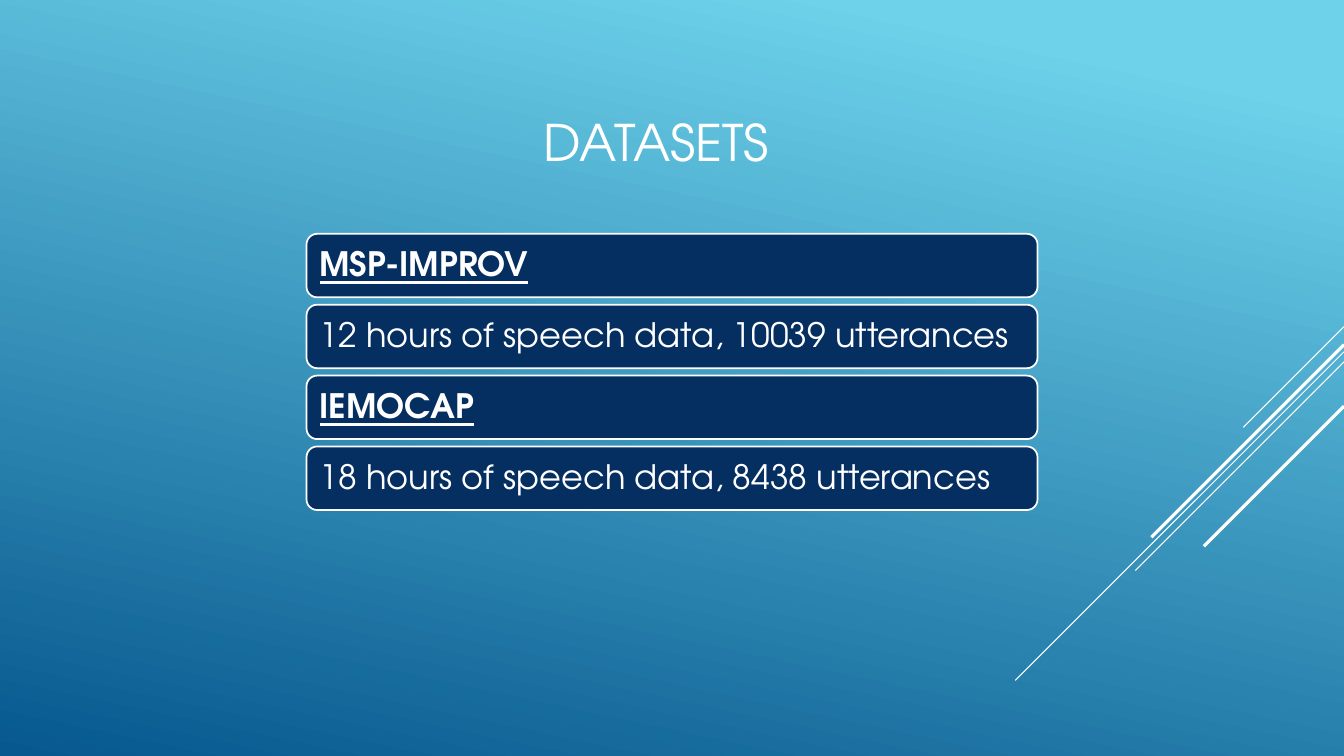
"""Build the slide that lists the speech datasets."""
from dataclasses import dataclass

from lxml.etree import SubElement
from pptx import Presentation
from pptx.dml.color import RGBColor
from pptx.enum.shapes import MSO_CONNECTOR as Connector
from pptx.enum.shapes import MSO_SHAPE as Shape
from pptx.enum.text import MSO_ANCHOR as Anchor
from pptx.enum.text import MSO_AUTO_SIZE as AutoSize
from pptx.enum.text import PP_ALIGN as Align
from pptx.oxml.ns import qn
from pptx.slide import Slide
from pptx.util import Inches, Pt

FONT = "TeX Gyre Adventor"
WHITE, NAVY = "FFFFFF", "052F61"
SLIDE_WIDTH, SLIDE_HEIGHT = 13.33, 7.5
BAR_LEFT, BAR_WIDTH, BAR_HEIGHT = 3.04, 7.25, 0.63
FIRST_BAR_TOP, LAST_BAR_TOP = 2.32, 4.43


@dataclass
class Bar:
    text: str
    heading: bool = False


@dataclass
class Streak:
    top: float
    reach: float
    weight: float


BARS = [
    Bar("MSP-IMPROV", heading=True),
    Bar("12 hours of speech data, 10039 utterances"),
    Bar("IEMOCAP", heading=True),
    Bar("18 hours of speech data, 8438 utterances"),
]
STREAKS = [
    Streak(3.24, 1.0, 0.75),
    Streak(3.49, 3.26, 0.75),
    Streak(3.59, 2.07, 0.75),
    Streak(3.42, 1.91, 2.25),
    Streak(4.03, 1.39, 2.25),
]


def color(value: str) -> RGBColor:
    return RGBColor.from_string(value)


def add_run(paragraph, text: str, size: float, heading: bool = False) -> None:
    run = paragraph.add_run()
    run.text = text
    run.font.name = FONT
    run.font.size = Pt(size)
    run.font.color.rgb = color(WHITE)
    run.font.bold = run.font.underline = heading


def paint_background(slide: Slide) -> None:
    fill = slide.background.fill
    fill.gradient()
    fill.gradient_angle = 258
    for stop, value, position in zip(fill.gradient_stops, ("6ED2EB", "06588E"), (0.1, 1)):
        stop.color.rgb = color(value)
        stop.position = position


def add_title(slide: Slide, text: str) -> None:
    title = slide.shapes.title
    title.left, title.top = Inches(5.16), Inches(0.58)
    title.width, title.height = Inches(2.7), Inches(1.65)
    frame = title.text_frame
    frame.auto_size = AutoSize.NONE
    frame.vertical_anchor = Anchor.MIDDLE
    paragraph = frame.paragraphs[0]
    paragraph.alignment = Align.CENTER
    add_run(paragraph, text, 36)


def add_bar(slide: Slide, bar: Bar, top: float) -> None:
    shape = slide.shapes.add_shape(
        Shape.ROUNDED_RECTANGLE,
        Inches(BAR_LEFT), Inches(top), Inches(BAR_WIDTH), Inches(BAR_HEIGHT),
    )
    shape.shadow.inherit = False
    shape.fill.solid()
    shape.fill.fore_color.rgb = color(NAVY)
    shape.line.color.rgb = color(WHITE)
    shape.line.width = Pt(1.25)
    frame = shape.text_frame
    frame.word_wrap = True
    frame.vertical_anchor = Anchor.MIDDLE
    frame.margin_left = frame.margin_right = Inches(0.1)
    frame.margin_top = frame.margin_bottom = Inches(0.1)
    paragraph = frame.paragraphs[0]
    paragraph.alignment = Align.LEFT
    paragraph.line_spacing = 0.9
    add_run(paragraph, bar.text, 24, bar.heading)


def add_streak(slide: Slide, streak: Streak) -> None:
    line = slide.shapes.add_connector(
        Connector.STRAIGHT,
        Inches(SLIDE_WIDTH), Inches(streak.top),
        Inches(SLIDE_WIDTH - streak.reach), Inches(streak.top + streak.reach),
    )
    line.line.color.rgb = color(WHITE)
    line.line.width = Pt(streak.weight)
    SubElement(line._element.spPr, qn("a:effectLst"))


def main() -> None:
    presentation = Presentation()
    presentation.slide_width = Inches(SLIDE_WIDTH)
    presentation.slide_height = Inches(SLIDE_HEIGHT)
    slide = presentation.slides.add_slide(presentation.slide_layouts[5])
    paint_background(slide)
    add_title(slide, "DATASETS")
    pitch = (LAST_BAR_TOP - FIRST_BAR_TOP) / (len(BARS) - 1)
    for index, bar in enumerate(BARS):
        add_bar(slide, bar, FIRST_BAR_TOP + index * pitch)
    for streak in STREAKS:
        add_streak(slide, streak)
    presentation.save("out.pptx")


if __name__ == "__main__":
    main()
